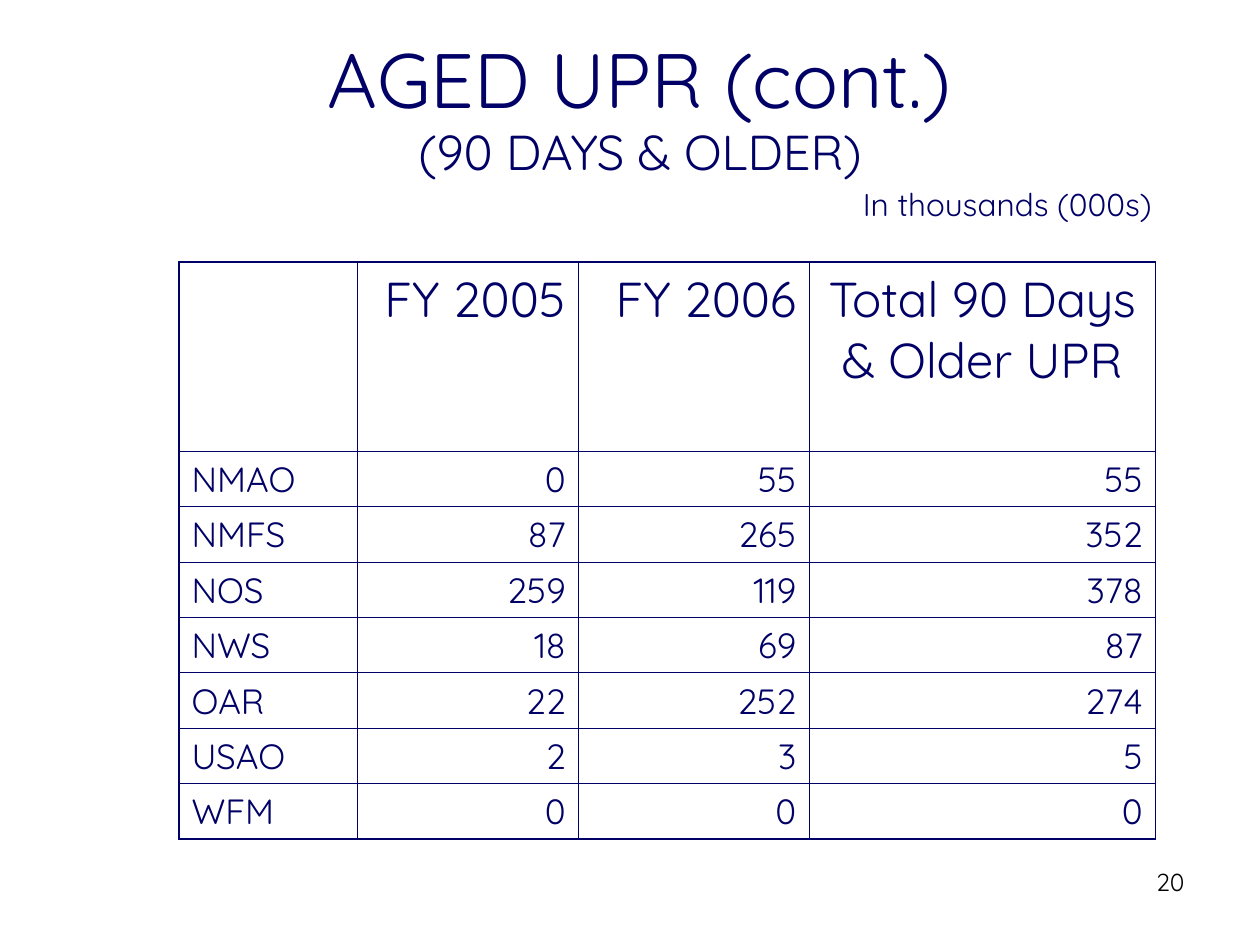
from dataclasses import dataclass

from lxml import etree
from pptx import Presentation
from pptx.dml.color import RGBColor
from pptx.enum.text import MSO_ANCHOR, PP_ALIGN
from pptx.oxml.ns import qn
from pptx.util import Inches, Pt

LEFT, CENTER, RIGHT = PP_ALIGN.LEFT, PP_ALIGN.CENTER, PP_ALIGN.RIGHT
TOP, MIDDLE = MSO_ANCHOR.TOP, MSO_ANCHOR.MIDDLE


@dataclass(frozen=True)
class Theme:
    font: str = "Quicksand"
    navy: str = "000066"
    black: str = "000000"
    title: int = 44
    heading: int = 28
    body: int = 20
    unit: int = 18
    page: int = 14
    outer_line: float = 1.08
    inner_line: float = 0.45


THEME = Theme()
SLIDE_WIDTH, SLIDE_HEIGHT = 10, 7.5
COLUMN_WIDTHS = (1.42, 1.75, 1.83, 2.75)
HEADER_HEIGHT, ROW_HEIGHT = 1.5, 0.44
UPR_ROWS = (
    ("", "FY 2005", "FY 2006", "Total 90 Days & Older UPR"),
    ("NMAO", "0", "55", "55"),
    ("NMFS", "87", "265", "352"),
    ("NOS", "259", "119", "378"),
    ("NWS", "18", "69", "87"),
    ("OAR", "22", "252", "274"),
    ("USAO", "2", "3", "5"),
    ("WFM", "0", "0", "0"),
)


def apply_format(target, values):
    for attribute, value in values.items():
        setattr(target, attribute, value)


def write_run(paragraph, words, size, color=THEME.navy):
    run = paragraph.add_run()
    run.text = words
    apply_format(run.font, {"name": THEME.font, "size": Pt(size)})
    run.font.color.rgb = RGBColor.from_string(color)


def add_label(slide, area, lines, align=LEFT, color=THEME.navy, anchor=TOP):
    label = slide.shapes.add_textbox(*map(Inches, area))
    apply_format(label.text_frame, {"word_wrap": True, "vertical_anchor": anchor})
    paragraph = label.text_frame.paragraphs[0]
    paragraph.alignment = align
    for index, (words, size) in enumerate(lines):
        if index:
            paragraph.add_line_break()
        write_run(paragraph, words, size, color)
    return label.text_frame


def add_title(slide):
    lines = (("AGED UPR (cont.)", THEME.title), ("(90 DAYS & OLDER)", THEME.heading))
    title = add_label(slide, (0.58, 0.25, 9, 1.25), lines, CENTER, anchor=MIDDLE)
    title.paragraphs[0].line_spacing = 0.95


def draw_borders(cell, outer_sides):
    properties = cell._tc.get_or_add_tcPr()
    for side in "LRTB":
        width = THEME.outer_line if side in outer_sides else THEME.inner_line
        border = etree.SubElement(properties, qn(f"a:ln{side}"), w=str(Pt(width)))
        fill = etree.SubElement(border, qn("a:solidFill"))
        etree.SubElement(fill, qn("a:srgbClr"), val=THEME.navy)


def cell_alignment(row, column):
    if column == 0:
        return LEFT
    return CENTER if row == 0 and column == len(COLUMN_WIDTHS) - 1 else RIGHT


def add_upr_table(slide, left, top):
    row_heights = [HEADER_HEIGHT] + [ROW_HEIGHT] * (len(UPR_ROWS) - 1)
    area = (left, top, sum(COLUMN_WIDTHS), sum(row_heights))
    table = slide.shapes.add_table(
        len(UPR_ROWS), len(COLUMN_WIDTHS), *map(Inches, area)
    ).table
    apply_format(table, {"first_row": False, "horz_banding": False})
    for column, width in zip(table.columns, COLUMN_WIDTHS):
        column.width = Inches(width)
    for row, height in zip(table.rows, row_heights):
        row.height = Inches(height)
    last_row, last_column = len(UPR_ROWS) - 1, len(COLUMN_WIDTHS) - 1
    for row, entries in enumerate(UPR_ROWS):
        size = THEME.body if row else THEME.heading
        for column, entry in enumerate(entries):
            cell = table.cell(row, column)
            edges = {"L": column == 0, "R": column == last_column,
                     "T": row == 0, "B": row == last_row}
            draw_borders(cell, [side for side, outer in edges.items() if outer])
            cell.fill.background()
            paragraph = cell.text_frame.paragraphs[0]
            paragraph.alignment = cell_alignment(row, column)
            if entry:
                write_run(paragraph, entry, size)


def main():
    deck = Presentation()
    apply_format(deck, {"slide_width": Inches(SLIDE_WIDTH),
                        "slide_height": Inches(SLIDE_HEIGHT)})
    slide = deck.slides.add_slide(deck.slide_layouts[6])
    add_title(slide)
    add_upr_table(slide, 1.42, 2.08)
    add_label(slide, (6.75, 1.42, 2.83, 0.7), [("In thousands (000s)", THEME.unit)])
    add_label(slide, (7.17, 6.83, 2.33, 0.52), [("20", THEME.page)], RIGHT, THEME.black)
    deck.save("out.pptx")


if __name__ == "__main__":
    main()
